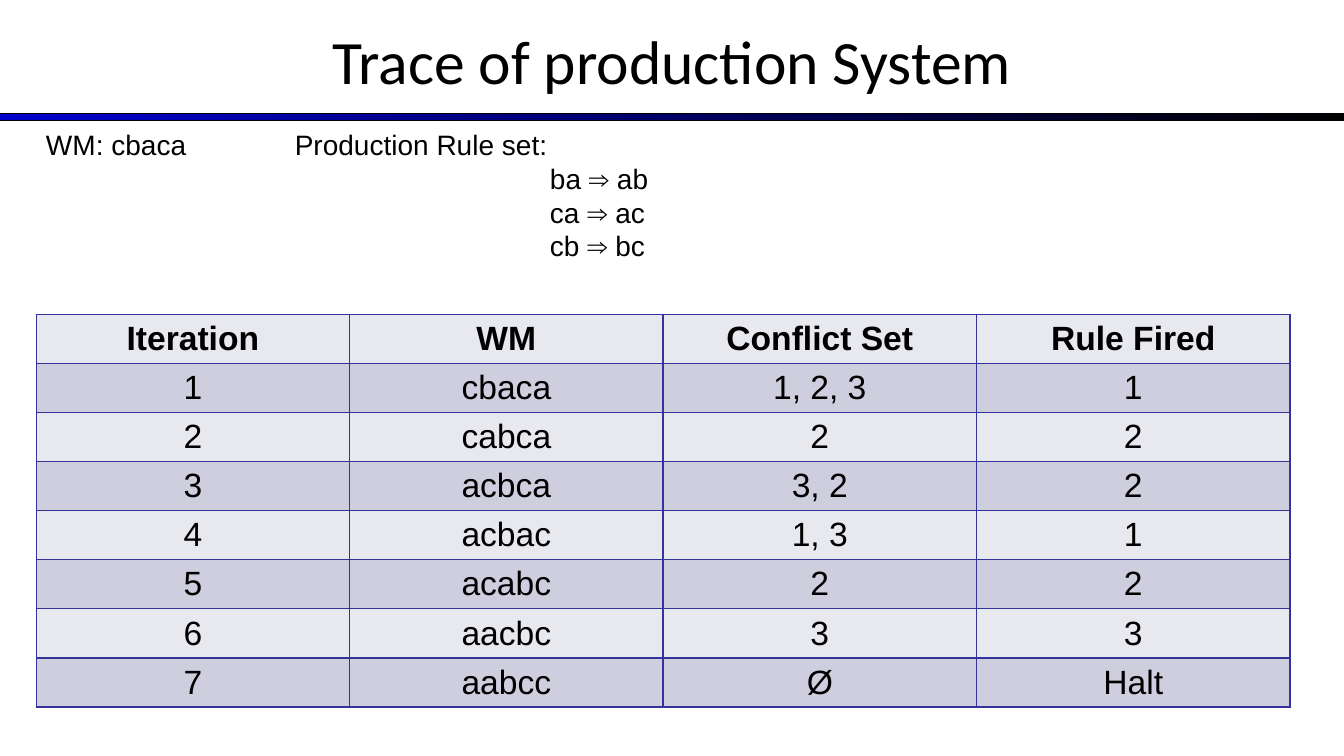
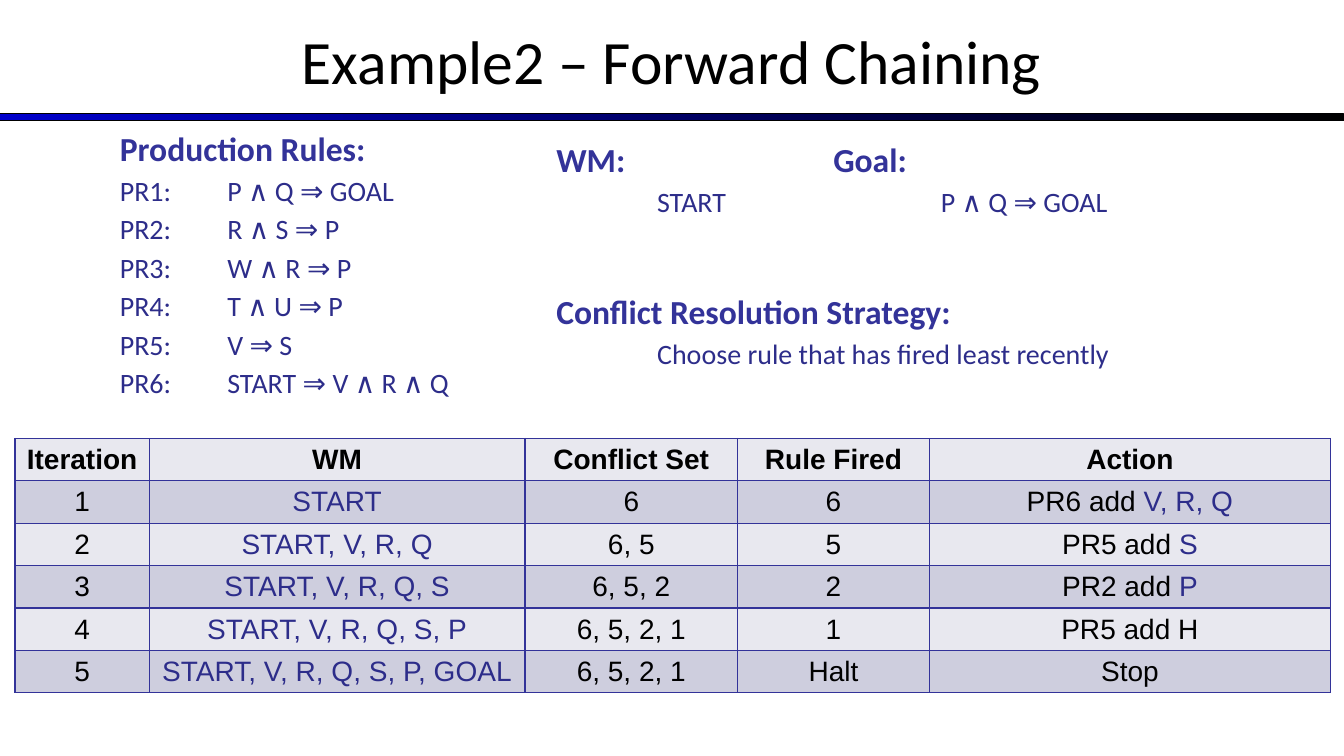
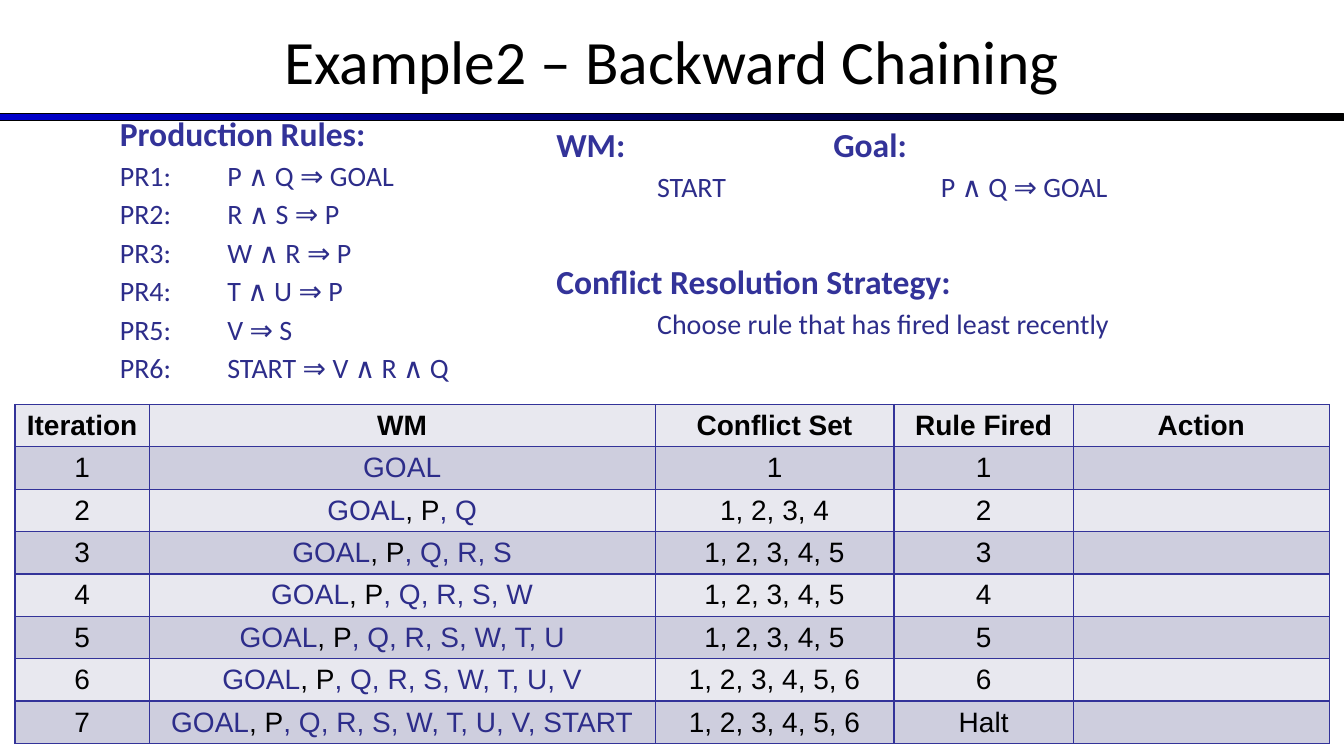
"""Build three slides that trace production systems."""
from lxml import etree
from pptx import Presentation
from pptx.dml.color import RGBColor
from pptx.enum import shapes, text
from pptx.oxml.ns import qn
from pptx.util import Cm, Pt

HUES = {"ink": "000000", "blue": "0000CC", "head": "333399", "body": "2D2D8A",
        "light": "E8E8EF", "dark": "CECEDE"}
WIDE, HIGH = 33.87, 19.05

TRACE = [
    ("Iteration", "WM", "Conflict Set", "Rule Fired"),
    ("1", "cbaca", "1, 2, 3", "1"),
    ("2", "cabca", "2", "2"),
    ("3", "acbca", "3, 2", "2"),
    ("4", "acbac", "1, 3", "1"),
    ("5", "acabc", "2", "2"),
    ("6", "aacbc", "3", "3"),
    ("7", "aabcc", "Ø", "Halt"),
]
SETUP = ["WM: cbaca\tProduction Rule set:", "ba ⇒ ab", "ca ⇒ ac", "cb ⇒ bc"]

RULES = ["P ∧ Q ⇒ GOAL", "R ∧ S ⇒ P", "W ∧ R ⇒ P", "T ∧ U ⇒ P", "V ⇒ S",
         "START ⇒ V ∧ R ∧ Q"]
PLAN = "Choose rule that has fired least recently"
HEAD = ("Iteration", "WM", "Conflict Set", "Rule Fired", "Action")

# In a cell, each bar switches between black and blue text.
CHAINS = [
    {"title": "Example2 – Forward Chaining",
     "tops": (3.1, 3.38, 7.21, 11.05),
     "cols": (3.38, 9.47, 5.36, 4.83, 10.11),
     "rows": [
         HEAD,
         ("1", "|START", "6", "6", "PR6 add |V, R, Q"),
         ("2", "|START, V, R, Q", "6, 5", "5", "PR5 add |S"),
         ("3", "|START, V, R, Q, S", "6, 5, 2", "2", "PR2 add |P"),
         ("4", "|START, V, R, Q, S, P", "6, 5, 2, 1", "1", "PR5 add H"),
         ("5", "|START, V, R, Q, S, P, GOAL", "6, 5, 2, 1", "Halt", "Stop")]},
    {"title": "Example2 – Backward Chaining",
     "tops": (2.72, 3, 6.45, 10.19),
     "cols": (3.38, 12.75, 6.02, 4.52, 6.45),
     "rows": [
         HEAD,
         ("1", "|GOAL", "1", "1", ""),
         ("2", "|GOAL|, P|, Q", "1, 2, 3, 4", "2", ""),
         ("3", "|GOAL|, P|, Q, R, S", "1, 2, 3, 4, 5", "3", ""),
         ("4", "|GOAL|, P|, Q, R, S, W", "1, 2, 3, 4, 5", "4", ""),
         ("5", "|GOAL|, P|, Q, R, S, W, T, U", "1, 2, 3, 4, 5", "5", ""),
         ("6", "|GOAL|, P|, Q, R, S, W, T, U, V", "1, 2, 3, 4, 5, 6", "6", ""),
         ("7", "|GOAL|, P|, Q, R, S, W, T, U, V, START", "1, 2, 3, 4, 5, 6",
          "Halt", "")]},
]


def tint(name):
    return RGBColor.from_string(HUES[name])


def style(font, size, hue, face="Calibri", bold=False):
    font.size, font.name, font.bold = Pt(size), face, bold
    font.color.rgb = tint(hue)


def add_box(slide, left, top, width, height, lines):
    frame = slide.shapes.add_textbox(Cm(left), Cm(top), Cm(width), Cm(height)).text_frame
    frame.word_wrap = True
    for i, line in enumerate(lines):
        para = frame.add_paragraph() if i else frame.paragraphs[0]
        para.text = line
    return frame


def set_tab(para, stop):
    tabs = etree.SubElement(para._p.get_or_add_pPr(), qn("a:tabLst"))
    etree.SubElement(tabs, qn("a:tab"), pos=str(Cm(stop)), algn="l")


def indent(para, left):
    para._p.get_or_add_pPr().set("marL", str(Cm(left)))


def add_page(deck, title):
    slide = deck.slides.add_slide(deck.slide_layouts[6])
    band = slide.shapes.add_shape(shapes.MSO_SHAPE.RECTANGLE, 0, Cm(2.87), Cm(WIDE), Cm(0.18))
    band.shadow.inherit = False
    band.fill.gradient()
    band.fill.gradient_angle = 0
    for stop, hue, place in zip(band.fill.gradient_stops, ("blue", "ink"), (0, 1)):
        stop.color.rgb, stop.position = tint(hue), place
    band.line.color.rgb, band.line.width = tint("ink"), Pt(0.75)
    frame = add_box(slide, 0, -0.08, WIDE, 3.18, [title])
    frame.vertical_anchor = text.MSO_ANCHOR.MIDDLE
    para = frame.paragraphs[0]
    para.alignment = text.PP_ALIGN.CENTER
    style(para.font, 44, "ink")
    return slide


def add_edges(cell):
    props = cell._tc.get_or_add_tcPr()
    for side in ("lnL", "lnR", "lnT", "lnB"):
        edge = etree.SubElement(props, qn("a:" + side), w=str(Pt(1)))
        fill = etree.SubElement(edge, qn("a:solidFill"))
        etree.SubElement(fill, qn("a:srgbClr"), val=HUES["head"])


def add_grid(slide, left, top, cols, tall, size, rows):
    grid = slide.shapes.add_table(len(rows), len(cols), Cm(left), Cm(top),
                                  Cm(sum(cols)), Cm(tall * len(rows))).table
    for col, width in zip(grid.columns, cols):
        col.width = Cm(width)
    for r, row in enumerate(rows):
        grid.rows[r].height = Cm(tall)
        for c, words in enumerate(row):
            cell = grid.cell(r, c)
            add_edges(cell)
            cell.fill.solid()
            cell.fill.fore_color.rgb = tint("dark" if r % 2 else "light")
            cell.margin_top = cell.margin_bottom = Cm(0.11)
            cell.vertical_anchor = text.MSO_ANCHOR.MIDDLE
            para = cell.text_frame.paragraphs[0]
            para.alignment = text.PP_ALIGN.CENTER
            for i, part in enumerate(words.split("|")):
                if part:
                    run = para.add_run()
                    run.text = part
                    style(run.font, size, "body" if i % 2 else "ink", "Arial", r == 0)


def add_list(slide, left, top, width, height, head, lines, inset=0, stop=0):
    frame = add_box(slide, left, top, width, height, [head, *lines])
    first, *rest = frame.paragraphs
    style(first.font, 24, "head", bold=True)
    for para in rest:
        para.space_before = Pt(3.5)
        if inset:
            indent(para, inset)
        if stop:
            set_tab(para, stop)
        style(para.font, 20, "body")


def add_trace(deck):
    slide = add_page(deck, "Trace of production System")
    add_grid(slide, 0.91, 7.92, [7.9] * 4, 1.2, 24, TRACE)
    first, *rest = add_box(slide, 0.91, 3.1, 27.84, 3.68, SETUP).paragraphs
    set_tab(first, 6.27)
    for para in rest:
        indent(para, 12.7)
    for para in (first, *rest):
        style(para.font, 20, "ink", "Arial")


def add_chain(deck, chain):
    slide = add_page(deck, chain["title"])
    rules, facts, plan, grid = chain["tops"]
    lines = [f"PR{n}:\t{rule}" for n, rule in enumerate(RULES, 1)]
    add_list(slide, 2.77, rules, 9.68, 7.47, "Production Rules:", lines, stop=2.71)
    add_list(slide, 13.77, facts, 5.64, 2.9, "WM:", ["START"], 2.54)
    add_list(slide, 20.75, facts, 12.22, 3.18, "Goal:", RULES[:1], 2.71)
    add_list(slide, 13.77, plan, 18, 3.18, "Conflict Resolution Strategy:", [PLAN], 2.54)
    add_grid(slide, 0.38, grid, chain["cols"], 1.05, 20, chain["rows"])


def main():
    deck = Presentation()
    deck.slide_width, deck.slide_height = Cm(WIDE), Cm(HIGH)
    add_trace(deck)
    for chain in CHAINS:
        add_chain(deck, chain)
    deck.save("out.pptx")


if __name__ == "__main__":
    main()
